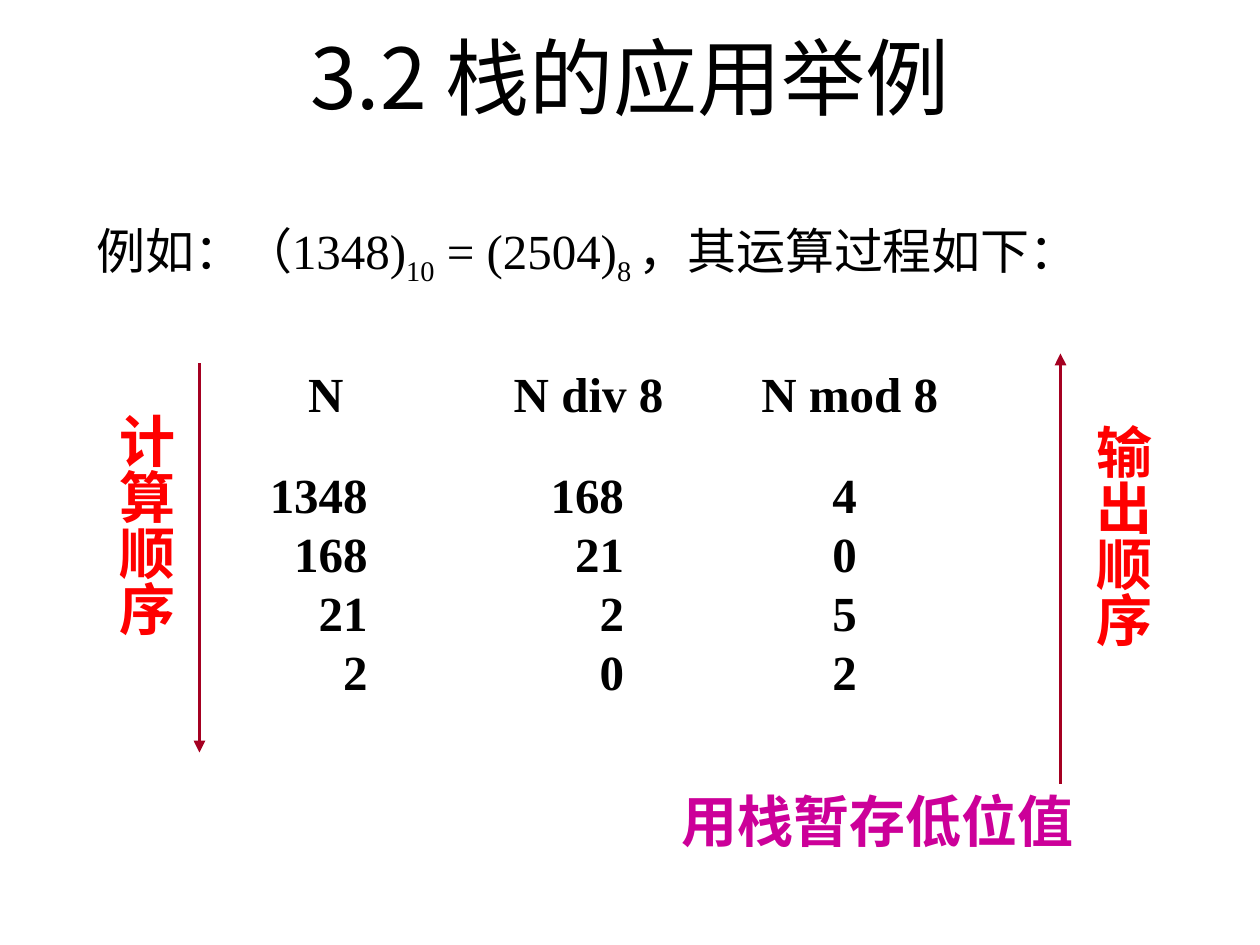
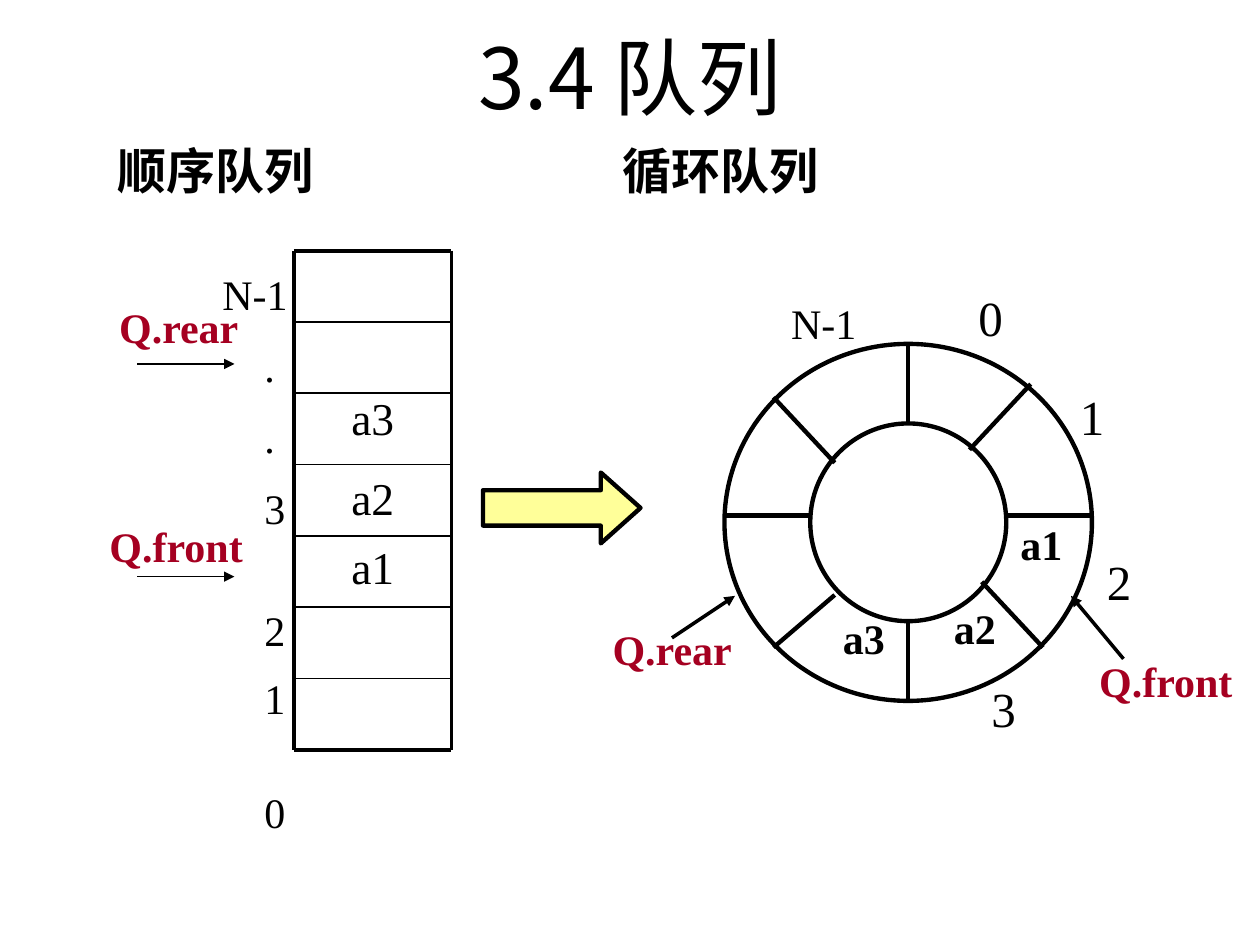
"""Build two slides on stacks and queues."""
from dataclasses import dataclass

from lxml import etree
from pptx import Presentation
from pptx.dml.color import RGBColor
from pptx.enum.shapes import MSO_CONNECTOR, MSO_SHAPE
from pptx.enum.text import MSO_ANCHOR, MSO_AUTO_SIZE, PP_ALIGN
from pptx.oxml.ns import qn
from pptx.util import Pt

STRAIGHT = MSO_CONNECTOR.STRAIGHT
OVAL, ARROW = MSO_SHAPE.OVAL, MSO_SHAPE.RIGHT_ARROW
LEFT, CENTER = PP_ALIGN.LEFT, PP_ALIGN.CENTER
TOP, MIDDLE = MSO_ANCHOR.TOP, MSO_ANCHOR.MIDDLE
FIXED = MSO_AUTO_SIZE.NONE


@dataclass(frozen=True)
class Theme:
    black: RGBColor = RGBColor(0x00, 0x00, 0x00)
    wine: RGBColor = RGBColor(0xA5, 0x00, 0x21)
    red: RGBColor = RGBColor(0xFF, 0x00, 0x00)
    pink: RGBColor = RGBColor(0xCC, 0x00, 0x99)
    cream: RGBColor = RGBColor(0xFF, 0xFF, 0x99)
    serif: str = "Times New Roman"
    sans: str = "Arial"
    han: str = "Noto Sans CJK SC"
    title: int = 48
    large: int = 32
    body: int = 28
    cell: int = 26
    small: int = 24


THEME = Theme()


def write(shape, text, size, color=THEME.black, bold=False, face=THEME.serif,
          align=LEFT, anchor=TOP, wrap=True, tabs=()):
    """Fill a shape with text; parts between bars are subscripts."""
    frame = shape.text_frame
    frame.word_wrap, frame.auto_size = wrap, FIXED
    frame.vertical_anchor = anchor
    frame.text = text.replace("|", "")
    for para, line in zip(frame.paragraphs, text.split("\n")):
        para.alignment = align
        if "|" in line:
            para.clear()
            for part in line.split("|"):
                para.add_run().text = part
        for i, run in enumerate(para.runs):
            font = run.font
            font.name, font.size, font.bold = face, Pt(size), bold
            font.color.rgb = color
            props = run._r.get_or_add_rPr()
            etree.SubElement(props, qn("a:ea"), typeface=THEME.han)
            if i % 2:
                props.set("baseline", "-25000")
        if tabs:
            stops = etree.SubElement(para._p.get_or_add_pPr(), qn("a:tabLst"))
            for place, side in tabs:
                etree.SubElement(stops, qn("a:tab"), pos=str(Pt(place)), algn=side)
    return frame


def draw(slide, ends, width, color=THEME.black, head=False):
    """Draw a straight line, with an arrowhead at its end if asked."""
    line = slide.shapes.add_connector(STRAIGHT, *map(Pt, ends))
    line.line.color.rgb, line.line.width = color, Pt(width)
    props = line._element.spPr
    if head:
        etree.SubElement(props.find(qn("a:ln")), qn("a:tailEnd"), type="triangle")
    etree.SubElement(props, qn("a:effectLst"))


deck = Presentation()
deck.slide_width, deck.slide_height = Pt(720), Pt(540)
slides = []
for name in ("3.2 栈的应用举例", "3.4 队列"):
    slide = deck.slides.add_slide(deck.slide_layouts[5])
    title = slide.shapes.title
    title.left, title.top, title.width, title.height = map(Pt, (36, 9.5, 648, 68))
    write(title, name, THEME.title, face=THEME.han, align=CENTER, anchor=MIDDLE)
    slides.append(slide)
stack, queue = slides

draw(stack, (114, 207.5, 114, 430), 2.25, THEME.wine, True)
draw(stack, (606, 448, 606, 202), 2.25, THEME.wine, True)
for text, left, top in (("计算顺序", 53.5, 229), ("输出顺序", 611.5, 235)):
    box = stack.shapes.add_textbox(Pt(left), Pt(top), Pt(52.5), Pt(135.5))
    frame = write(box, text, THEME.large, THEME.red, True, wrap=False)
    frame._txBody.bodyPr.set("vert", "eaVert")
    frame.margin_left = frame.margin_right = Pt(3.6)
    frame.margin_top = frame.margin_bottom = Pt(7.2)

box = stack.shapes.add_textbox(Pt(382.5), Pt(446), Pt(266), Pt(46))
write(box, "用栈暂存低位值", THEME.large, THEME.pink, True, THEME.sans)
box = stack.shapes.add_textbox(Pt(48), Pt(122.5), Pt(629), Pt(45))
write(box, "例如：（1348)|10| = (2504)|8 |，其运算过程如下：", THEME.body)
box = stack.shapes.add_textbox(Pt(169), Pt(204), Pt(390), Pt(41))
write(box, "N\tN div 8\tN mod 8", THEME.body, bold=True,
      tabs=((117.5, "l"), (259, "l")))
steps = ((1348, 168, 4), (168, 21, 0), (21, 2, 5), (2, 0, 2))
rows = "\n".join("".join(f"\t{value}" for value in step) for step in steps)
box = stack.shapes.add_textbox(Pt(99.5), Pt(262), Pt(425), Pt(142))
write(box, rows, THEME.body, bold=True, tabs=((103.5, "r"), (250, "r"), (383, "r")))

arrow = queue.shapes.add_shape(ARROW, Pt(276), Pt(270), Pt(90), Pt(40.5))
arrow.adjustments[1] = 0.56
arrow.fill.solid()
arrow.fill.fore_color.rgb = THEME.cream
inner = queue.shapes.add_shape(OVAL, Pt(463), Pt(242), Pt(112), Pt(113))
outer = queue.shapes.add_shape(OVAL, Pt(414), Pt(196.5), Pt(210), Pt(204))
for ring in (inner, outer):
    ring.fill.background()
for shape in (arrow, inner, outer):
    shape.shadow.inherit = False
    shape.line.color.rgb, shape.line.width = THEME.black, Pt(2.5)

spokes = (
    (575, 294.5, 624, 294.5), (414, 294.5, 463, 294.5),
    (519, 196.5, 519, 242), (519, 355, 519, 400.5),
    (442, 227, 477, 264.5), (561, 332.5, 596, 370),
    (589, 219.5, 554, 257), (477, 340, 442, 370),
)
for ends in spokes:
    draw(queue, ends, 2.5)
for ends in ((384, 364.5, 420, 340.5), (642, 376.5, 612, 340.5)):
    draw(queue, ends, 2, head=True)

for text, left, top in (("0", 552, 160.5), ("1", 610, 217.5),
                        ("2", 625.5, 311.5), ("3", 559.5, 384)):
    box = queue.shapes.add_textbox(Pt(left), Pt(top), Pt(28), Pt(41))
    write(box, text, THEME.body, wrap=False)
for text, left, top, width, color, bold in (
    ("a3", 474.5, 346.5, 38, THEME.black, True),
    ("a2", 538, 340.5, 38, THEME.black, True),
    ("a1", 576, 292.5, 38, THEME.black, True),
    ("N-1", 445, 166.5, 52, THEME.black, False),
    ("Q.rear", 343, 353, 83, THEME.wine, True),
    ("Q.front", 621, 371, 91, THEME.wine, True),
    ("Q.front", 55.5, 294, 91, THEME.wine, True),
    ("Q.rear", 61, 168.5, 83, THEME.wine, True),
):
    box = queue.shapes.add_textbox(Pt(left), Pt(top), Pt(width), Pt(36))
    write(box, text, THEME.small, color, bold, wrap=False)
for text, left, top, width in (("循环队列", 348.5, 76.5, 264),
                               ("顺序队列", 60, 77, 150.5)):
    box = queue.shapes.add_textbox(Pt(left), Pt(top), Pt(width), Pt(41))
    write(box, text, THEME.body, bold=True)

west, east, north, pitch, count = 168, 258, 143.25, 40.75, 7
south = north + count * pitch
for i in range(count + 1):
    level = north + i * pitch
    draw(queue, (west, level, east, level), 1 if 0 < i < count else 2.25)
for side in (west, east):
    draw(queue, (side, north, side, south), 2.25)
for text, top in (("a3", 219.5), ("a2", 265), ("a1", 304.5)):
    box = queue.shapes.add_textbox(Pt(west), Pt(top), Pt(east - west), Pt(41))
    write(box, text, THEME.cell, align=CENTER)
for level in (208, 329.5):
    draw(queue, (78.5, level, 134, level), 0.75, head=True)

box = queue.shapes.add_textbox(Pt(120), Pt(150), Pt(54), Pt(332))
frame = write(box, "N-1\n.\n.\n3\n2\n1\n0", THEME.small)
for para, gap in zip(frame.paragraphs[1:], (12, 12, 12, 41, 10, 36)):
    para.space_before = Pt(gap)
    para._p.get_or_add_pPr().set("marL", str(Pt(24)))

deck.save("out.pptx")
